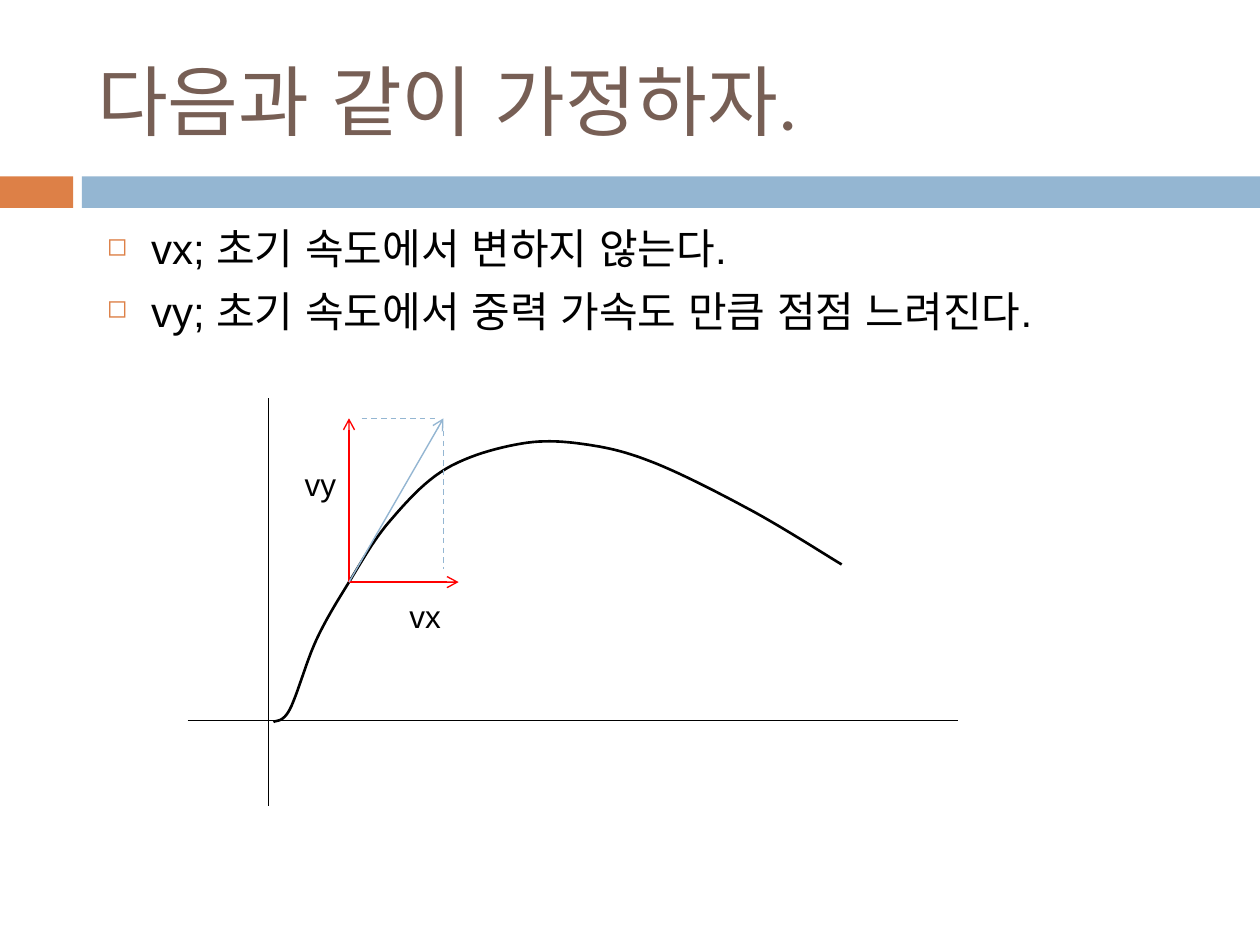
import pptx
import pptx.dml.color
import pptx.enum.dml
import pptx.enum.shapes
import pptx.enum.text
import pptx.oxml
import pptx.oxml.ns
import pptx.util

# The slide is a grid of square cells; every place and size counts cells.
COLUMNS, ROWS = 100, 75
CELL = pptx.util.Inches(0.1)

BLACK = pptx.dml.color.RGBColor(0x00, 0x00, 0x00)
RED = pptx.dml.color.RGBColor(0xFF, 0x00, 0x00)
BLUE = pptx.dml.color.RGBColor(0x94, 0xB6, 0xD2)
ORANGE = pptx.dml.color.RGBColor(0xDD, 0x80, 0x47)
BROWN = pptx.dml.color.RGBColor(0x77, 0x5F, 0x55)

BODY_FONT, TITLE_FONT = "Arial", "Calibri"
TEXT_WIDTH = 89.2
NAMESPACE = pptx.oxml.ns.nsdecls("a")

# Axes
ORIGIN_X, ORIGIN_Y = 21.3, 57.2
AXIS_LEFT, AXIS_RIGHT = 14.9, 76
AXIS_TOP, AXIS_BOTTOM = 31.6, 64

# Velocity at one point of the flight
POINT_X, POINT_Y = 27.7, 46.2
TIP_X, TIP_Y = 35.2, 33.2
DASH_GAP = 1

# Flight path: the few places the smooth curve passes through
START, TURN = (21.7, 57.3), (23, 56.3)
CLIMB, POINT = (25.1, 50.8), (POINT_X, POINT_Y)
BEND, SHOULDER = (30.9, 41.4), (35.4, 37.2)
PEAK_START, PEAK_END = (41.4, 35.2), (46.7, 35.3)
DESCENT, FALL, END = (52.1, 36.8), (59.8, 40.6), (66.8, 44.8)
FLIGHT = [START, TURN, CLIMB, POINT, BEND, SHOULDER,
          PEAK_START, PEAK_END, DESCENT, FALL, END]
STEPS_PER_SPAN = 12


def grid(*counts):
    """Turn counts of columns or rows into lengths."""
    return [round(count * CELL) for count in counts]


def append_xml(parent, *elements):
    """Append drawing elements, each given as its name and attributes."""
    for element in elements:
        name = element.split()[0]
        markup = element.replace(name, f"<a:{name} {NAMESPACE}", 1) + "/>"
        parent.append(pptx.oxml.parse_xml(markup))


def write(paragraph, text, font=BODY_FONT, size=18, color=BLACK, before=0):
    paragraph.text = text
    paragraph.alignment = pptx.enum.text.PP_ALIGN.LEFT
    paragraph.space_before = pptx.util.Pt(before)
    paragraph.font.name = font
    paragraph.font.size = pptx.util.Pt(size)
    paragraph.font.color.rgb = color
    append_xml(paragraph.font._rPr, f'ea typeface="{BODY_FONT}"')


def add_bullet(paragraph):
    properties = paragraph._p.get_or_add_pPr()
    indent = pptx.util.Inches(0.35)
    properties.set("marL", str(indent))
    properties.set("indent", str(-indent))
    append_xml(properties, "buClr", 'buSzPct val="60000"', 'buChar char="◻"')
    append_xml(properties[0], f'srgbClr val="{ORANGE}"')


def add_title(slide, text):
    title = slide.shapes.title
    title.left, title.top, title.width, title.height = grid(6.7, 2.5, TEXT_WIDTH, 10.8)
    title.text_frame.vertical_anchor = pptx.enum.text.MSO_ANCHOR.MIDDLE
    write(title.text_frame.paragraphs[0], text, font=TITLE_FONT, size=44, color=BROWN)


def add_bar(slide, left, right, color):
    bar = slide.shapes.add_shape(
        pptx.enum.shapes.MSO_SHAPE.RECTANGLE, *grid(left, 14, right - left, 2.5))
    bar.shadow.inherit = False
    bar.fill.solid()
    bar.fill.fore_color.rgb = color
    bar.line.fill.background()


def add_bullets(slide, lines):
    frame = slide.shapes.add_textbox(*grid(7.5, 17.2, TEXT_WIDTH, 49.2)).text_frame
    frame.word_wrap = True
    for index, line in enumerate(lines):
        paragraph = frame.add_paragraph() if index else frame.paragraphs[0]
        add_bullet(paragraph)
        write(paragraph, line, size=24, before=7 if index else 0)


def add_label(slide, text, left, top):
    frame = slide.shapes.add_textbox(*grid(left, top, 4.5, 4)).text_frame
    frame.word_wrap = False
    write(frame.paragraphs[0], text)


def add_line(slide, start, end, color=BLACK, arrow=False, dashed=False):
    connector = slide.shapes.add_connector(
        pptx.enum.shapes.MSO_CONNECTOR.STRAIGHT, *grid(*start, *end))
    connector.line.color.rgb = color
    connector.line.width = pptx.util.Pt(0.79)
    if dashed:
        connector.line.dash_style = pptx.enum.dml.MSO_LINE.DASH
    if arrow:
        append_xml(connector.line._get_or_add_ln(), 'tailEnd type="arrow"')
    append_xml(connector._element.spPr, "effectLst")


def spline(before, start, end, after, share):
    """Return the Catmull-Rom value at a share of the way from start to end."""
    slope = end - before
    bend = 2 * before - 5 * start + 4 * end - after
    twist = 3 * (start - end) + after - before
    return start + (slope * share + bend * share ** 2 + twist * share ** 3) / 2


def smooth(knots):
    """Fill the spans between knots with points on a smooth curve."""
    padded = [knots[0], *knots, knots[-1]]
    points = [knots[0]]
    for span in zip(padded, padded[1:], padded[2:], padded[3:]):
        for step in range(1, STEPS_PER_SPAN + 1):
            share = step / STEPS_PER_SPAN
            points.append(tuple(spline(*values, share) for values in zip(*span)))
    return points


def add_curve(slide, knots):
    start, *rest = [grid(*point) for point in smooth(knots)]
    builder = slide.shapes.build_freeform(*start)
    builder.add_line_segments(rest, close=False)
    curve = builder.convert_to_shape()
    curve.shadow.inherit = False
    curve.fill.background()
    curve.line.color.rgb = BLACK
    curve.line.width = pptx.util.Pt(1.5)


def add_axes(slide):
    add_line(slide, (ORIGIN_X, AXIS_TOP), (ORIGIN_X, AXIS_BOTTOM))
    add_line(slide, (AXIS_LEFT, ORIGIN_Y), (AXIS_RIGHT, ORIGIN_Y))


def add_velocity(slide):
    """Draw the velocity with its two components."""
    arrows = [((36.4, POINT_Y), RED), ((POINT_X, TIP_Y), RED), ((TIP_X, TIP_Y), BLUE)]
    for tip, color in arrows:
        add_line(slide, POINT, tip, color, arrow=True)
    guides = [
        ((POINT_X + DASH_GAP, TIP_Y), (TIP_X - DASH_GAP / 2, TIP_Y)),
        ((TIP_X, TIP_Y + DASH_GAP), (TIP_X, POINT_Y - DASH_GAP)),
    ]
    for start, end in guides:
        add_line(slide, start, end, BLUE, dashed=True)
    add_label(slide, "vx", 31.5, 46.9)
    add_label(slide, "vy", 23.2, 36.4)


def main():
    presentation = pptx.Presentation()
    presentation.slide_width, presentation.slide_height = grid(COLUMNS, ROWS)
    slide = presentation.slides.add_slide(presentation.slide_layouts[5])
    add_bar(slide, 0, 5.8, ORANGE)
    add_bar(slide, 6.5, COLUMNS, BLUE)
    add_title(slide, "다음과 같이 가정하자.")
    add_bullets(slide, [
        "vx; 초기 속도에서 변하지 않는다.",
        "vy; 초기 속도에서 중력 가속도 만큼 점점 느려진다.",
    ])
    add_axes(slide)
    add_curve(slide, FLIGHT)
    add_velocity(slide)
    presentation.save("out.pptx")


if __name__ == "__main__":
    main()
